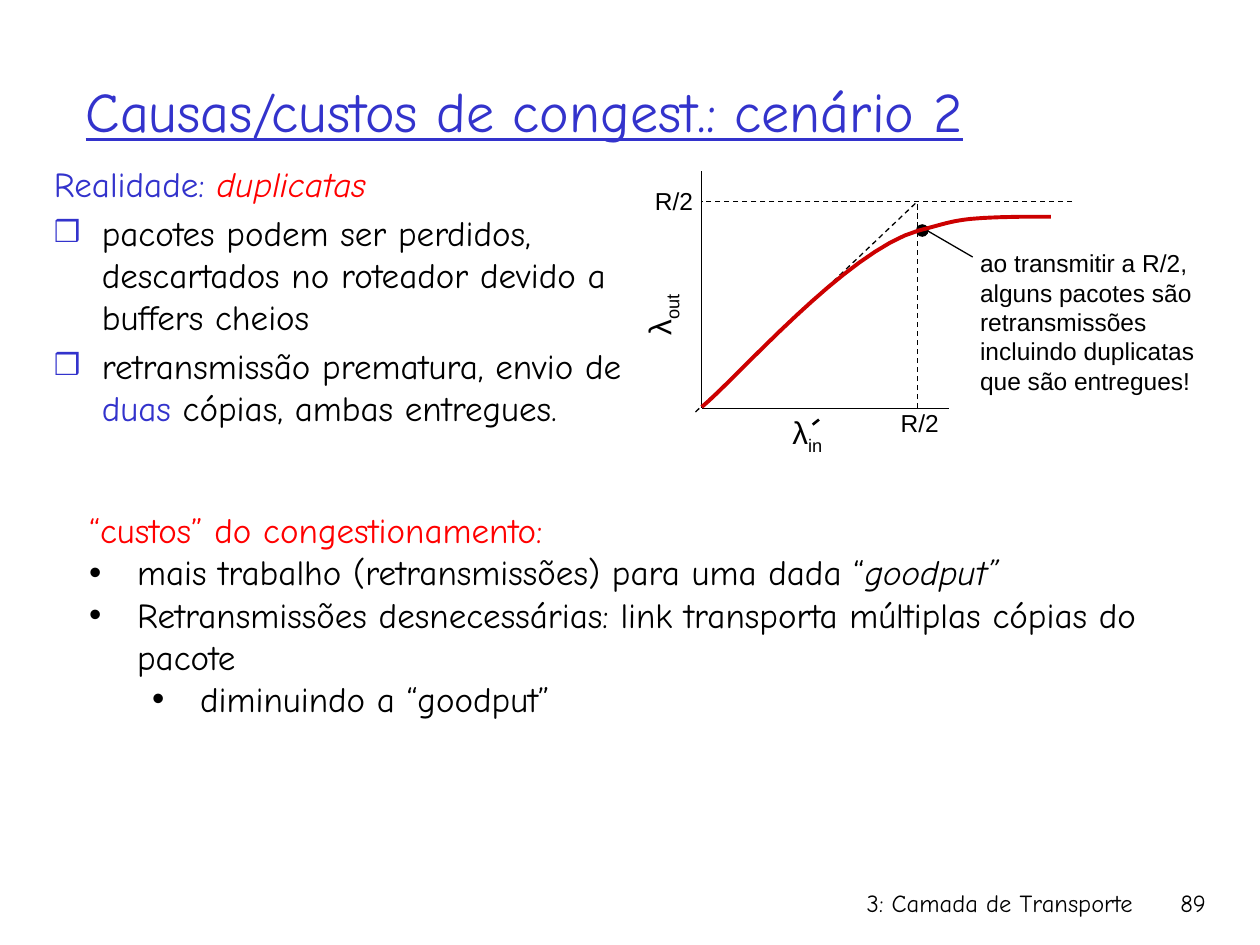
from lxml.etree import SubElement
from pptx import Presentation
from pptx.dml.color import RGBColor
from pptx.enum.dml import MSO_LINE
from pptx.enum.shapes import MSO_CONNECTOR, MSO_SHAPE
from pptx.enum.text import MSO_ANCHOR, MSO_AUTO_SIZE, PP_ALIGN
from pptx.oxml.ns import qn
from pptx.util import Inches, Pt

BLACK = RGBColor(0x00, 0x00, 0x00)
BLUE = RGBColor(0x33, 0x33, 0xCC)
RED = RGBColor(0xFF, 0x00, 0x00)
CURVE_RED = RGBColor(0xCC, 0x00, 0x00)
HAND, SANS = "Comic Neue", "Arial"

# Key positions of the plot, in inches
AXIS_X, AXIS_Y = 5.57, 3.24
HALF_X, HALF_Y = 7.28, 1.6
CURVE_START = (AXIS_X, 3.23)
CURVE = [
    ((5.85, 3), (6.72, 1.99), (7.29, 1.83)),
    ((7.6, 1.75), (7.58, 1.73), (8.11, 1.72)),
    ((8.34, 1.72), (8.29, 1.72), (8.34, 1.72)),
]


def add_run(p, text, size, font, color=BLACK, italic=False, subscript=False):
    r = p.add_run()
    r.text = text
    r.font.size = Pt(size)
    r.font.name = font
    r.font.color.rgb = color
    r.font.italic = italic
    if subscript:
        r.font._element.set("baseline", "-25000")
    return r


def add_bullet(p, char, left=0.38, color=BLACK, percent=100):
    pPr = p._p.get_or_add_pPr()
    pPr.set("marL", str(Inches(left)))
    pPr.set("indent", str(-Inches(0.38)))
    clr = SubElement(pPr, qn("a:buClr"))
    SubElement(clr, qn("a:srgbClr")).set("val", str(color))
    SubElement(pPr, qn("a:buSzPct")).set("val", str(percent * 1000))
    SubElement(pPr, qn("a:buFont")).set("typeface", SANS)
    SubElement(pPr, qn("a:buChar")).set("char", char)


def add_box(s, left, top, width, height, wrap=True):
    box = s.shapes.add_textbox(*map(Inches, (left, top, width, height)))
    box.text_frame.word_wrap = wrap
    return box


def add_label(s, box, text, font=SANS, align=PP_ALIGN.LEFT, wrap=False):
    p = add_box(s, *box, wrap=wrap).text_frame.paragraphs[0]
    p.alignment = align
    add_run(p, text, 14, font)


def add_lambda(s, box, index, rotation=0):
    label = add_box(s, *box, wrap=rotation != 0)
    label.rotation = rotation
    p = label.text_frame.paragraphs[0]
    add_run(p, "λ", 18, SANS)
    add_run(p, index, 18, SANS, subscript=True)


def add_line(s, start, end, width=0.75, dashed=False, arrow=False):
    line = s.shapes.add_connector(MSO_CONNECTOR.STRAIGHT, *map(Inches, start + end))
    line.line.color.rgb = BLACK
    line.line.width = Pt(width)
    if dashed:
        line.line.dash_style = MSO_LINE.DASH
    if arrow:
        SubElement(line.line._get_or_add_ln(), qn("a:tailEnd")).set("type", "triangle")
    SubElement(line._element.spPr, qn("a:effectLst"))


def curve_points(steps=16):
    """Sample the chained cubic Bézier segments, in EMU."""
    start = CURVE_START
    for c1, c2, end in CURVE:
        for i in range(1, steps + 1):
            t = i / steps
            u = 1 - t
            yield tuple(
                Inches(u**3 * a + 3 * u * u * t * b + 3 * u * t * t * c + t**3 * d)
                for a, b, c, d in zip(start, c1, c2, end)
            )
        start = end


def add_curve(s):
    builder = s.shapes.build_freeform(*map(Inches, CURVE_START))
    builder.add_line_segments(list(curve_points()), close=False)
    curve = builder.convert_to_shape()
    curve.shadow.inherit = False
    curve.fill.background()
    curve.line.color.rgb = CURVE_RED
    curve.line.width = Pt(2.25)


def add_dot(s):
    dot = s.shapes.add_shape(MSO_SHAPE.OVAL, *map(Inches, (7.27, 1.78, 0.1, 0.1)))
    dot.shadow.inherit = False
    dot.fill.solid()
    dot.fill.fore_color.rgb = BLACK
    dot.line.fill.background()


def add_title(s):
    title = s.shapes.title
    title.left, title.top, title.width, title.height = map(Inches, (0.58, 0.25, 8.5, 1.25))
    tf = title.text_frame
    tf.auto_size = MSO_AUTO_SIZE.NONE
    tf.vertical_anchor = MSO_ANCHOR.MIDDLE
    p = tf.paragraphs[0]
    p.alignment = PP_ALIGN.LEFT
    add_run(p, "Causas/custos de congest.: cenário 2", 32, HAND, BLUE).font.underline = True


def add_reality(s):
    tf = add_box(s, 0.33, 1.24, 4.87, 1.92).text_frame
    p = tf.paragraphs[0]
    add_run(p, "Realidade: ", 20, HAND, BLUE)
    add_run(p, "duplicatas", 20, HAND, RED, italic=True)
    items = [
        [("pacotes podem ser perdidos, descartados no roteador devido a buffers cheios", BLACK)],
        [("retransmissão prematura, envio de ", BLACK), ("duas", BLUE),
         (" cópias, ambas entregues.", BLACK)],
    ]
    for runs in items:
        p = tf.add_paragraph()
        p.space_before = Pt(4)
        add_bullet(p, "❒", color=BLUE, percent=85)
        for text, color in runs:
            add_run(p, text, 20, HAND, color)


def add_costs(s):
    tf = add_box(s, 0.61, 3.99, 8.82, 1.78).text_frame
    add_run(tf.paragraphs[0], "“custos” do congestionamento:", 20, HAND, RED)
    items = [
        (0, "mais trabalho (retransmissões) para uma dada “", "goodput”"),
        (0, "Retransmissões desnecessárias: link transporta múltiplas cópias do pacote", ""),
        (1, "diminuindo a “goodput”", ""),
    ]
    for level, text, emphasis in items:
        p = tf.add_paragraph()
        p.level = level
        add_bullet(p, "•", left=0.38 + level * 0.5)
        add_run(p, text, 20, HAND)
        if emphasis:
            add_run(p, emphasis, 20, HAND, italic=True)


def add_plot(s):
    add_line(s, (AXIS_X, 1.36), (AXIS_X, AXIS_Y))
    add_line(s, (7.53, AXIS_Y), (AXIS_X, AXIS_Y))
    add_line(s, (8.51, HALF_Y), (AXIS_X, HALF_Y), dashed=True)
    add_line(s, (5.52, 3.27), (HALF_X, HALF_Y), dashed=True)
    add_line(s, (HALF_X, AXIS_Y), (HALF_X, HALF_Y), dashed=True)
    add_line(s, (7.72, 2.04), (7.29, 1.79), arrow=True)
    add_dot(s)
    add_curve(s)
    for left, top in ((5.1, 1.43), (7.05, 3.19)):
        add_label(s, (left, top, 0.5, 0.33), "R/2")
    add_label(s, (7.68, 1.92, 2.06, 1.28),
              "ao transmitir a R/2, alguns pacotes são retransmissões "
              "incluindo duplicatas que são entregues!", wrap=True)
    add_lambda(s, (4.89, 2.22, 0.68, 0.4), "out", rotation=270)
    add_lambda(s, (6.19, 3.23, 0.47, 0.4), "in")
    add_line(s, (6.45, 3.37), (6.5, 3.33), width=1.5)


def main():
    prs = Presentation()
    prs.slide_width, prs.slide_height = Inches(10), Inches(7.5)
    s = prs.slides.add_slide(prs.slide_layouts[5])
    add_title(s)
    add_reality(s)
    add_plot(s)
    add_costs(s)
    for left, width, text in ((5.92, 3.17, "3: Camada de Transporte"), (8.93, 0.74, "89")):
        add_label(s, (left, 7, width, 0.5), text, HAND, PP_ALIGN.RIGHT, wrap=True)
    prs.save("out.pptx")


if __name__ == "__main__":
    main()
